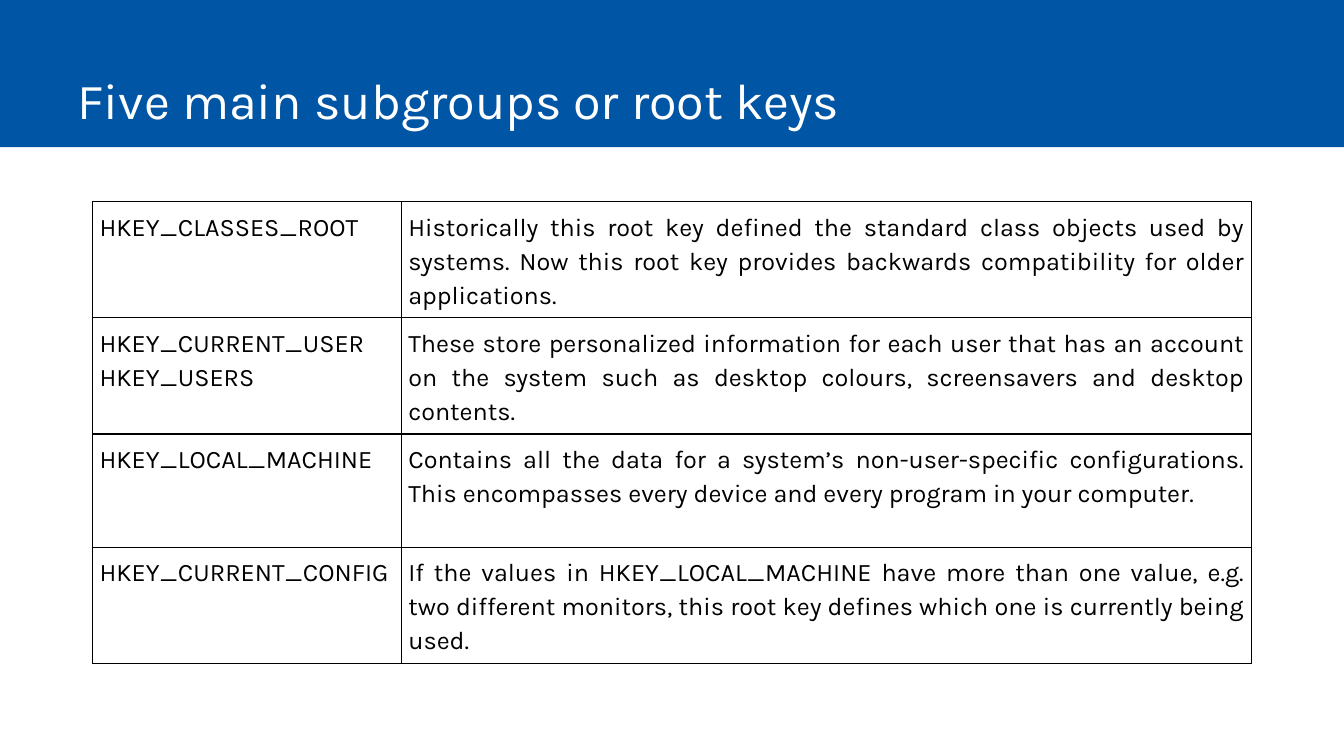
from dataclasses import dataclass

from lxml.etree import SubElement
from pptx import Presentation
from pptx.dml.color import RGBColor as RGB
from pptx.enum.shapes import MSO_SHAPE as SHAPE
from pptx.enum.text import MSO_ANCHOR as ANCHOR, PP_ALIGN as ALIGN
from pptx.oxml.ns import qn
from pptx.util import Cm, Pt

TITLE = "Five main subgroups or root keys"
ROOT_KEYS = [
    (["HKEY_CLASSES_ROOT"],
     ["Historically this root key defined the standard class objects used by "
      "systems. Now this root key provides backwards compatibility for older "
      "applications."]),
    (["HKEY_CURRENT_USER", "HKEY_USERS"],
     ["These store personalized information for each user that has an account "
      "on the system such as desktop colours, screensavers and desktop contents."]),
    (["HKEY_LOCAL_MACHINE"],
     ["Contains all the data for a system’s non-user-specific configurations. "
      "This encompasses every device and every program in your computer."]),
    (["HKEY_CURRENT_CONFIG"],
     ["If the values in HKEY_LOCAL_MACHINE have more than one value, e.g. two "
      "different monitors, this root key defines which one is currently being used."]),
]
COLUMNS = [7.78, 21.43]
ROW_HEIGHT = 2.85


@dataclass(frozen=True)
class Theme:
    font: str = "Karla"
    blue: str = "0055A4"
    white: str = "FFFFFF"
    black: str = "000000"
    title: int = 36
    body: int = 18
    border: int = 1


THEME = Theme()


def add_run(p, text, size, color):
    r = p.add_run()
    r.text = text
    r.font.name = THEME.font
    r.font.size = Pt(size)
    r.font.color.rgb = RGB.from_string(color)


def add_borders(cell):
    props = cell._tc.get_or_add_tcPr()
    for i, side in enumerate(("lnL", "lnR", "lnT", "lnB")):
        line = props.makeelement(qn(f"a:{side}"), {"w": str(Pt(THEME.border))})
        fill = SubElement(line, qn("a:solidFill"))
        SubElement(fill, qn("a:srgbClr"), val=THEME.black)
        props.insert(i, line)


def fill_cell(cell, lines):
    cell.fill.background()
    cell.margin_left = cell.margin_right = Cm(0.18)
    cell.margin_top = cell.margin_bottom = Cm(0.18)
    tf = cell.text_frame
    for i, text in enumerate(lines):
        p = tf.add_paragraph() if i else tf.paragraphs[0]
        p.alignment = ALIGN.JUSTIFY
        p.line_spacing = 1.15
        add_run(p, text, THEME.body, THEME.black)
    add_borders(cell)


def add_heading(prs, s):
    band = s.shapes.add_shape(SHAPE.RECTANGLE, 0, 0, prs.slide_width, Cm(3.71))
    band.shadow.inherit = False
    band.fill.solid()
    band.fill.fore_color.rgb = RGB.from_string(THEME.blue)
    band.line.fill.background()
    sp = s.shapes.title
    sp._element.addprevious(band._element)
    sp.left, sp.top, sp.width, sp.height = Cm(1.7), Cm(0), Cm(29.85), Cm(3.4)
    tf = sp.text_frame
    tf.word_wrap = True
    tf.vertical_anchor = ANCHOR.BOTTOM
    p = tf.paragraphs[0]
    p.alignment = ALIGN.LEFT
    add_run(p, TITLE, THEME.title, THEME.white)


def add_root_keys(s):
    rows = len(ROOT_KEYS)
    table = s.shapes.add_table(rows, len(COLUMNS), Cm(2.33), Cm(5.08),
                               Cm(sum(COLUMNS)), Cm(rows * ROW_HEIGHT)).table
    table.first_row = table.horz_banding = False
    for column, width in zip(table.columns, COLUMNS):
        column.width = Cm(width)
    for row, entries in zip(table.rows, ROOT_KEYS):
        row.height = Cm(ROW_HEIGHT)
        for cell, lines in zip(row.cells, entries):
            fill_cell(cell, lines)


def main():
    """Build the root keys slide."""
    prs = Presentation()
    prs.slide_width, prs.slide_height = Cm(33.87), Cm(19.05)
    s = prs.slides.add_slide(prs.slide_layouts[5])
    add_heading(prs, s)
    add_root_keys(s)
    prs.save("out.pptx")


if __name__ == "__main__":
    main()
